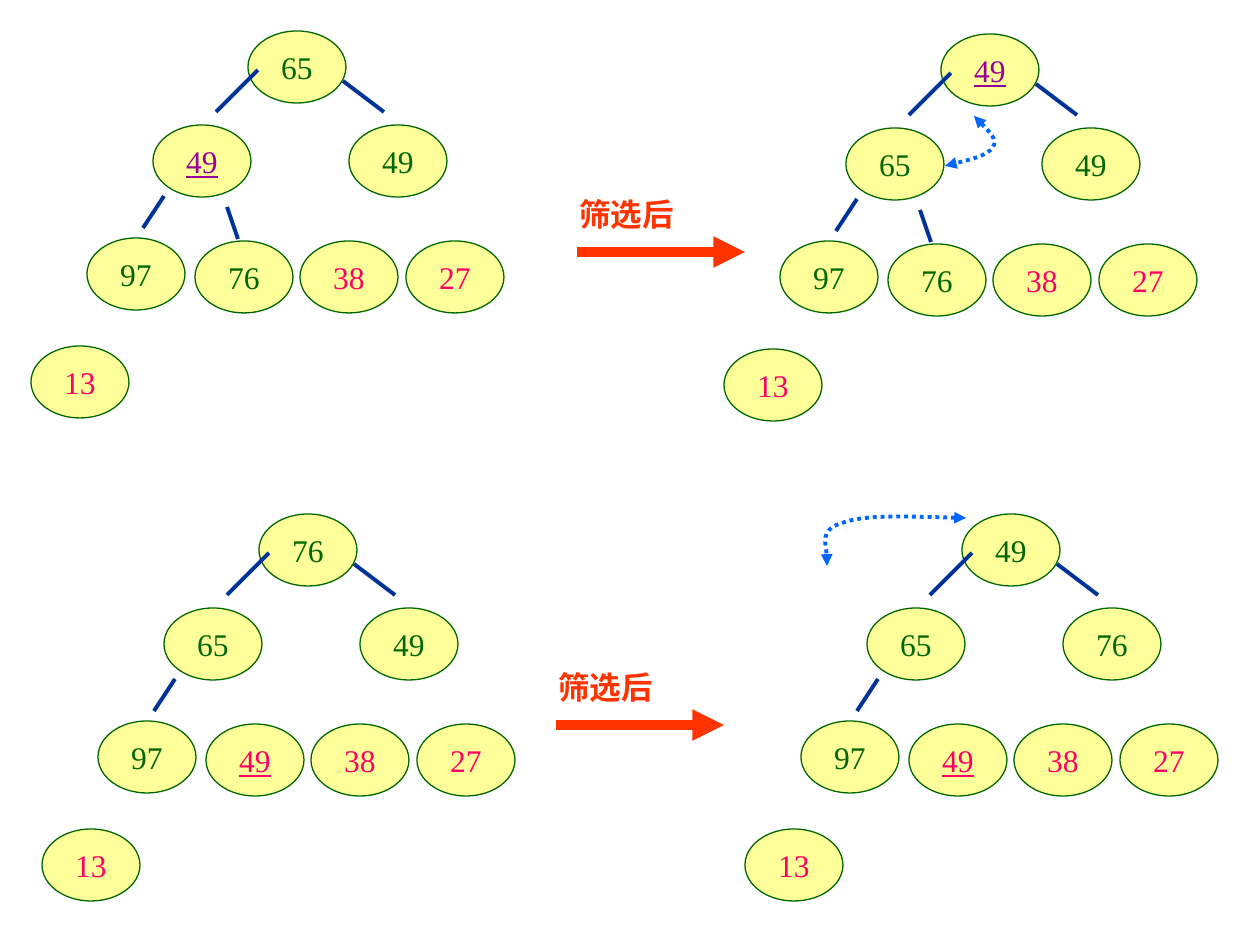
from lxml.etree import SubElement
from pptx import Presentation
from pptx.dml.color import RGBColor
from pptx.enum.dml import MSO_LINE
from pptx.enum.shapes import MSO_CONNECTOR, MSO_SHAPE
from pptx.enum.text import MSO_ANCHOR, MSO_AUTO_SIZE, PP_ALIGN
from pptx.oxml.ns import qn
from pptx.util import Pt

EMU_PER_PX = 914400 / 126
FONT = "Times New Roman"
YELLOW = RGBColor(0xFF, 0xFF, 0x99)
GREEN = RGBColor(0x00, 0x66, 0x00)
PURPLE = RGBColor(0x99, 0x00, 0x99)
PINK = RGBColor(0xFF, 0x00, 0x66)
NAVY = RGBColor(0x00, 0x33, 0x99)
BLUE = RGBColor(0x00, 0x66, 0xFF)
RED = RGBColor(0xFF, 0x33, 0x00)

LABEL = "筛选后"
NODE_SIZE = (98, 72)
NODE_OFFSETS = [(0, 0), (-95, 94), (101, 94), (-161, 207),
                (-53, 210), (52, 210), (158, 210), (-217, 315)]
EDGES = {
    "root-left": ((10, 39), (-32, 81)),
    "left-left": ((-84, 165), (-105, 197)),
    "left-right": ((-21, 176), (-10, 208)),
    "root-right": ((95, 50), (136, 81)),
}
THREE_EDGES = ["root-left", "left-left", "root-right"]

# heap size counts the nodes not yet sorted; marked is the underlined node
TREES = [
    {"root": (248, 31), "keys": [65, 49, 49, 97, 76, 38, 27, 13],
     "heap_size": 5, "marked": 1, "edges": list(EDGES)},
    {"root": (941, 34), "keys": [49, 65, 49, 97, 76, 38, 27, 13],
     "heap_size": 5, "marked": 0, "edges": list(EDGES)},
    {"root": (259, 514), "keys": [76, 65, 49, 97, 49, 38, 27, 13],
     "heap_size": 4, "marked": 4, "edges": THREE_EDGES},
    {"root": (962, 514), "keys": [49, 65, 76, 97, 49, 38, 27, 13],
     "heap_size": 4, "marked": 4, "edges": THREE_EDGES},
]
STEP_LABELS = [(567, 189), (546, 662)]
SWAPS = [
    [(974, 116), (985, 127), (998, 140), (993, 147), (988, 156), (953, 164), (945, 166)],
    [(966, 518), (916, 517), (866, 514), (842, 523), (819, 530), (829, 558), (827, 566)],
]


def px(*lengths):
    return [round(length * EMU_PER_PX) for length in lengths]


def shift(origin, offset):
    return origin[0] + offset[0], origin[1] + offset[1]


def write(frame, text, color, bold=None, underline=None):
    run = frame.paragraphs[0].add_run()
    run.text = text
    run.font.name, run.font.size = FONT, Pt(18)
    run.font.bold, run.font.underline = bold, underline
    run.font.color.rgb = color


def add_arrowheads(shape, *ends):
    outline = shape._element.spPr.find(qn("a:ln"))
    for end in ends:
        SubElement(outline, qn(f"a:{end}"), type="triangle")


def add_line(shapes, start, finish, color, width):
    line = shapes.add_connector(MSO_CONNECTOR.STRAIGHT, *px(*start, *finish))
    line.line.color.rgb, line.line.width = color, Pt(width)
    SubElement(line._element.spPr, qn("a:effectLst"))
    return line


def add_node(shapes, corner, key, color, marked):
    node = shapes.add_shape(MSO_SHAPE.OVAL, *px(*corner, *NODE_SIZE))
    node.shadow.inherit = False
    node.fill.solid()
    node.fill.fore_color.rgb = YELLOW
    node.line.color.rgb, node.line.width = GREEN, Pt(0.75)
    node.text_frame.vertical_anchor = MSO_ANCHOR.MIDDLE
    node.text_frame.paragraphs[0].alignment = PP_ALIGN.CENTER
    write(node.text_frame, str(key), color, underline=marked or None)


def add_tree(slide, tree):
    shapes = slide.shapes.add_group_shape().shapes
    for index, (key, offset) in enumerate(zip(tree["keys"], NODE_OFFSETS)):
        marked = index == tree["marked"]
        in_heap = index < tree["heap_size"]
        color = PINK if not in_heap else PURPLE if marked else GREEN
        add_node(shapes, shift(tree["root"], offset), key, color, marked)
    for name in tree["edges"]:
        start, finish = (shift(tree["root"], offset) for offset in EDGES[name])
        add_line(shapes, start, finish, NAVY, 2.25)


def add_step(slide, corner):
    shapes = slide.shapes.add_group_shape().shapes
    label = shapes.add_textbox(*px(*corner, 168, 50)).text_frame
    label.word_wrap = True
    label.auto_size = MSO_AUTO_SIZE.SHAPE_TO_FIT_TEXT
    write(label, LABEL, RED, bold=True)
    arrow = add_line(shapes, shift(corner, (10, 63)), shift(corner, (178, 63)), RED, 6)
    add_arrowheads(arrow, "tailEnd")


def add_swap(slide, points):
    builder = slide.shapes.build_freeform(*points[0], scale=EMU_PER_PX)
    builder.add_line_segments(points[1:], close=False)
    curve = builder.convert_to_shape()
    segments = list(curve._element.iter(qn("a:lnTo")))
    outline = segments[0].getparent()
    for first in range(0, len(segments), 3):
        bezier = SubElement(outline, qn("a:cubicBezTo"))
        for segment in segments[first:first + 3]:
            bezier.append(segment[0])
            outline.remove(segment)
    curve.shadow.inherit = False
    curve.fill.background()
    curve.line.color.rgb, curve.line.width = BLUE, Pt(2.25)
    curve.line.dash_style = MSO_LINE.ROUND_DOT
    add_arrowheads(curve, "headEnd", "tailEnd")


def main():
    deck = Presentation()
    deck.slide_width, deck.slide_height = px(1260, 945)
    slide = deck.slides.add_slide(deck.slide_layouts[6])
    for tree in TREES:
        add_tree(slide, tree)
    for corner in STEP_LABELS:
        add_step(slide, corner)
    for points in SWAPS:
        add_swap(slide, points)
    deck.save("out.pptx")


if __name__ == "__main__":
    main()
